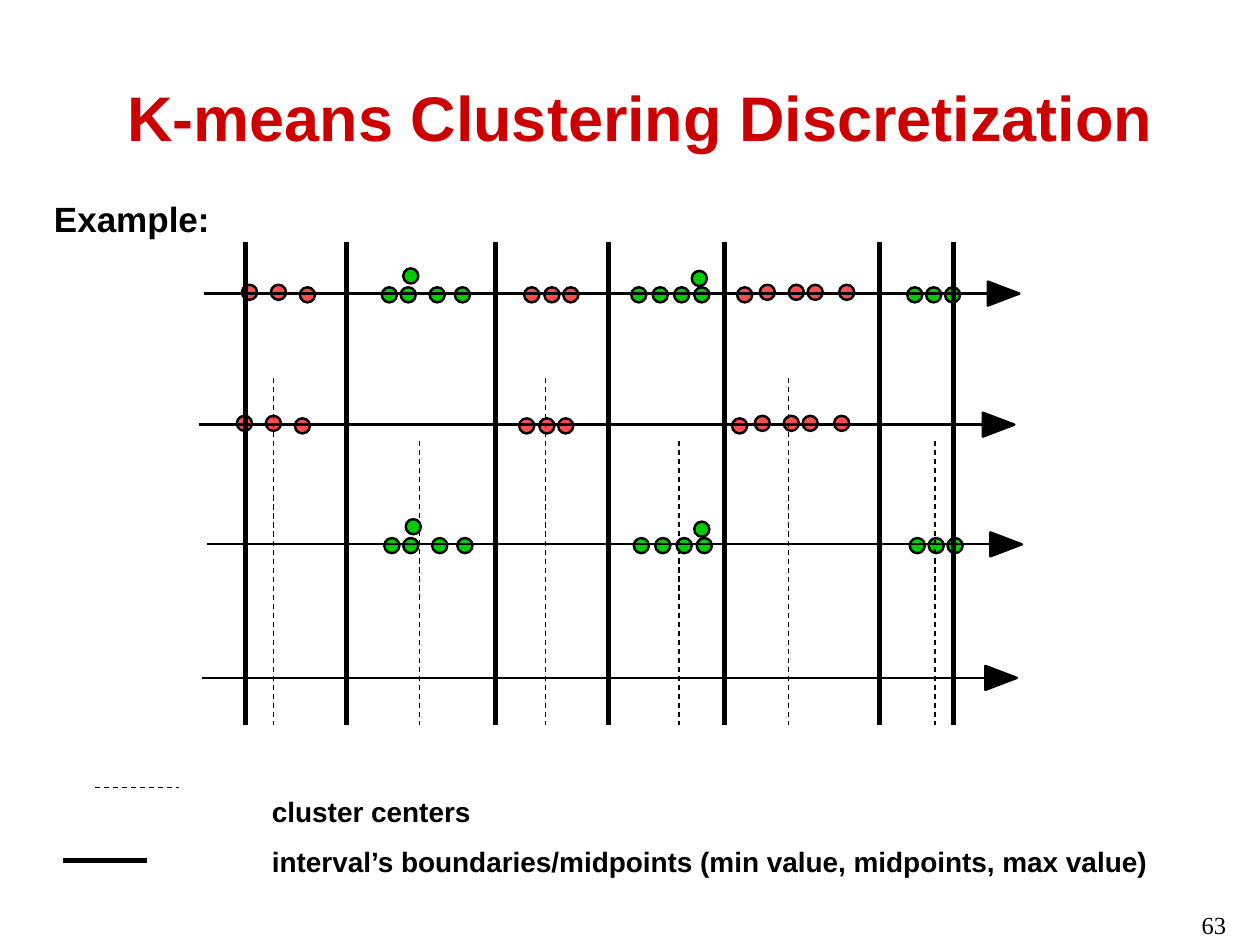
from lxml import etree
from pptx import Presentation
from pptx.dml.color import RGBColor
from pptx.enum import dml, shapes, text
from pptx.oxml.ns import qn
from pptx.util import Inches, Pt

BLACK, RED, GREEN, TITLE = "000000", "FF4C4C", "00CC00", "CC0000"
DOT = 0.12
RED_DOTS = [(0.30, -0.07), (0.53, -0.07), (0.76, -0.05), (2.54, -0.05),
            (2.70, -0.05), (2.85, -0.05), (4.23, -0.05), (4.41, -0.07),
            (4.64, -0.07), (4.79, -0.07), (5.04, -0.07)]
GREEN_DOTS = [(1.41, -0.05), (1.56, -0.05), (1.58, -0.20), (1.79, -0.05),
              (1.99, -0.05), (3.39, -0.05), (3.56, -0.05), (3.73, -0.05),
              (3.87, -0.18), (3.89, -0.05), (5.58, -0.05), (5.73, -0.05),
              (5.88, -0.05)]
AXES = [(0.04, 0.41, [(RED, RED_DOTS), (GREEN, GREEN_DOTS)]),
        (0, 1.45, [(RED, RED_DOTS)]),
        (0.06, 2.40, [(GREEN, GREEN_DOTS)]),
        (0.02, 3.46, [])]
BOUNDARIES = [0.37, 1.17, 2.35, 3.25, 4.17, 5.40, 5.99]
CENTERS = [(0.59, 1.08), (1.75, 1.58), (2.75, 1.08), (3.81, 1.58),
           (4.68, 1.08), (5.84, 1.58)]


def rgb(color):
    """Turn a hex string into a colour."""
    return RGBColor.from_string(color)


def paint(sp, fill):
    """Give a shape its fill and black outline."""
    sp.shadow.inherit = False
    sp.fill.solid()
    sp.fill.fore_color.rgb = rgb(fill)
    sp.line.color.rgb = rgb(BLACK)
    sp.line.width = Pt(1.39)


def add_line(s, x1, y1, x2, y2, width, dashed=False):
    """Draw a straight black line."""
    ln = s.shapes.add_connector(shapes.MSO_CONNECTOR.STRAIGHT,
                                Inches(x1), Inches(y1), Inches(x2), Inches(y2))
    ln.line.color.rgb = rgb(BLACK)
    ln.line.width = Pt(width)
    if dashed:
        ln.line.dash_style = dml.MSO_LINE.DASH
    etree.SubElement(ln._element.spPr, qn("a:effectLst"))


def write(tf, content, size, color=BLACK, font="Arial", bold=True,
          align=text.PP_ALIGN.LEFT):
    """Write one formatted run in a text frame."""
    tf.word_wrap = True
    p = tf.paragraphs[0]
    p.alignment = align
    r = p.add_run()
    r.text = content
    r.font.name, r.font.size, r.font.bold = font, Pt(size), bold
    r.font.color.rgb = rgb(color)


def add_text(s, x, y, w, h, content, size, **style):
    """Add a text box with one run."""
    sp = s.shapes.add_textbox(Inches(x), Inches(y), Inches(w), Inches(h))
    write(sp.text_frame, content, size, **style)


def add_title(s, x, y, w, h, content):
    """Place and format the title."""
    sp = s.shapes.title
    sp.left, sp.top, sp.width, sp.height = map(Inches, (x, y, w, h))
    sp.text_frame.vertical_anchor = text.MSO_ANCHOR.MIDDLE
    write(sp.text_frame, content, 36, color=TITLE, align=text.PP_ALIGN.CENTER)


def add_axis(s, x, y, dot_groups):
    """Draw one value axis with its data points and arrowhead."""
    for color, dots in dot_groups:
        for dx, dy in dots:
            sp = s.shapes.add_shape(shapes.MSO_SHAPE.OVAL, Inches(x + dx),
                                    Inches(y + dy), Inches(DOT), Inches(DOT))
            paint(sp, color)
    tip = x + 6.22
    fb = s.shapes.build_freeform(Inches(tip + 0.25), Inches(y))
    fb.add_line_segments([(Inches(tip), Inches(y + 0.095)),
                          (Inches(tip), Inches(y - 0.095))])
    paint(fb.convert_to_shape(), BLACK)
    add_line(s, x, y, tip, y, 1.39)


def add_diagram(s, x, y, h):
    """Draw the axes, interval boundaries and cluster centers."""
    for dx, dy, dot_groups in AXES:
        add_axis(s, x + dx, y + dy, dot_groups)
    for dx in BOUNDARIES:
        add_line(s, x + dx, y, x + dx, y + h, 3)
    for dx, dy in CENTERS:
        add_line(s, x + dx, y + dy, x + dx, y + h, 0.75, dashed=True)


def add_legend(s, x, y):
    """Draw the line keys and their labels."""
    entries = [(0.25, 0, 0.01, 0.75, True, "cluster centers"),
               (0, 0.58, 0.4, 3, False,
                "interval’s boundaries/midpoints (min value, midpoints, max value)")]
    for dx, dy, label_dy, width, dashed, label in entries:
        add_line(s, x + dx, y + dy, x + dx + 0.67, y + dy, width, dashed)
        add_text(s, x + 1.56, y + label_dy, 7.3, 0.36, label, 16)


def main():
    """Build the slide and save it."""
    prs = Presentation()
    prs.slide_width, prs.slide_height = Inches(10), Inches(7.5)
    s = prs.slides.add_slide(prs.slide_layouts[5])
    add_title(s, 0.83, 0.42, 8.5, 1, "K-means Clustering Discretization")
    add_text(s, 0.33, 1.52, 2, 0.43, "Example:", 20)
    add_legend(s, 0.5, 6.25)
    add_diagram(s, 1.58, 1.92, 3.83)
    add_text(s, 7.5, 7.17, 2.33, 0.33, "63", 14, font="Times New Roman",
             bold=False, align=text.PP_ALIGN.RIGHT)
    prs.save("out.pptx")


if __name__ == "__main__":
    main()
